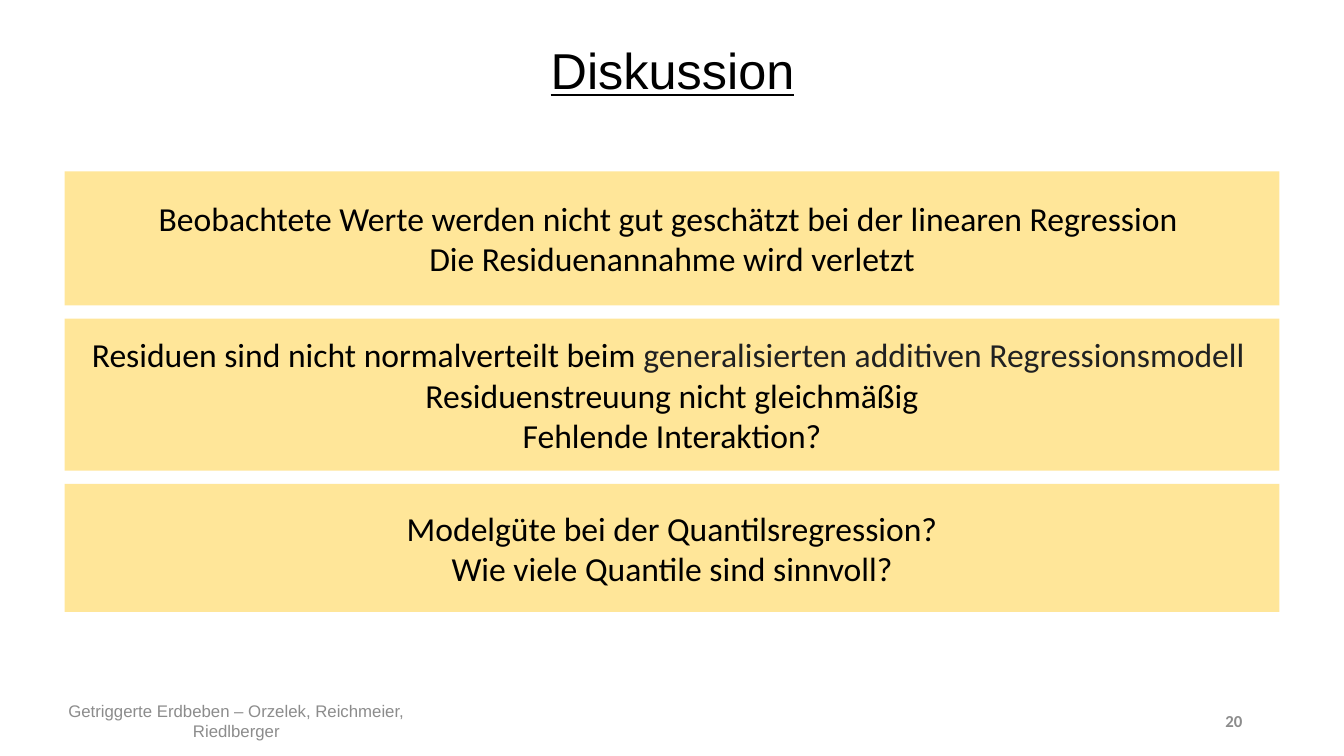
from pptx import Presentation
from pptx.dml.color import RGBColor
from pptx.enum import shapes, text
from pptx.util import Inches, Pt

BLACK = RGBColor(0x00, 0x00, 0x00)
CHARCOAL = RGBColor(0x20, 0x21, 0x22)
GRAY = RGBColor(0x8C, 0x8C, 0x8C)
YELLOW = RGBColor(0xFF, 0xE6, 0x99)
WHITE = RGBColor(0xFF, 0xFF, 0xFF)
CENTER, RIGHT = text.PP_ALIGN.CENTER, text.PP_ALIGN.RIGHT


def write(shape, paragraphs, size, font="Calibri", color=BLACK, align=CENTER,
          bold=False, underline=False, line_spacing=None):
    """Fill a shape with paragraphs, each a list of (text, color or None) runs."""
    frame = shape.text_frame
    frame.word_wrap = True
    frame.auto_size = text.MSO_AUTO_SIZE.NONE
    frame.vertical_anchor = text.MSO_ANCHOR.MIDDLE
    for index, runs in enumerate(paragraphs):
        paragraph = frame.add_paragraph() if index else frame.paragraphs[0]
        paragraph.alignment = align
        paragraph.line_spacing = line_spacing
        for words, run_color in runs:
            run = paragraph.add_run()
            run.text = words
            run.font.name = font
            run.font.size = Pt(size)
            run.font.bold = bold
            run.font.underline = underline
            run.font.color.rgb = run_color or color


presentation = Presentation()
presentation.slide_width = Inches(13.33)
presentation.slide_height = Inches(7.5)
slide = presentation.slides.add_slide(presentation.slide_layouts[5])
slide.background.fill.solid()
slide.background.fill.fore_color.rgb = WHITE

# Title
title = slide.shapes.title
title.left, title.top = Inches(0.92), Inches(0)
title.width, title.height = Inches(11.5), Inches(1.45)
write(title, [[("Diskussion", None)]], 36, font="Arial", underline=True,
      line_spacing=0.9)

# Discussion boxes, stacked with equal gaps
BOX_GAP = 0.13
discussion_boxes = [
    (1.33, [
        [("Beobachtete Werte werden nicht gut geschätzt bei der linearen Regression ", None)],
        [("Die Residuenannahme wird verletzt", None)],
    ]),
    (1.51, [
        [("Residuen sind nicht normalverteilt beim ", None),
         ("generalisierten additiven Regressionsmodell ", CHARCOAL)],
        [("Residuenstreuung nicht gleichmäßig", None)],
        [("Fehlende Interaktion?", None)],
    ]),
    (1.27, [
        [("Modelgüte bei der Quantilsregression?", None)],
        [("Wie viele Quantile sind sinnvoll?", None)],
    ]),
]
top = 1.7
for height, paragraphs in discussion_boxes:
    box = slide.shapes.add_shape(shapes.MSO_SHAPE.RECTANGLE, Inches(0.64),
                                 Inches(top), Inches(12.05), Inches(height))
    box.shadow.inherit = False
    box.fill.solid()
    box.fill.fore_color.rgb = YELLOW
    box.line.fill.background()
    write(box, paragraphs, 24)
    top += height + BOX_GAP

# Footer and slide number
FOOTER_TOP, FOOTER_HEIGHT = Inches(6.95), Inches(0.4)
footer = slide.shapes.add_textbox(Inches(0.13), FOOTER_TOP, Inches(4.43), FOOTER_HEIGHT)
write(footer, [[("Getriggerte Erdbeben – Orzelek, Reichmeier, Riedlberger", None)]],
      12, font="Arial", color=GRAY)
slide_number = slide.shapes.add_textbox(Inches(9.42), FOOTER_TOP, Inches(3), FOOTER_HEIGHT)
write(slide_number, [[("20", None)]], 12, color=GRAY, align=RIGHT, bold=True)

presentation.save("out.pptx")
